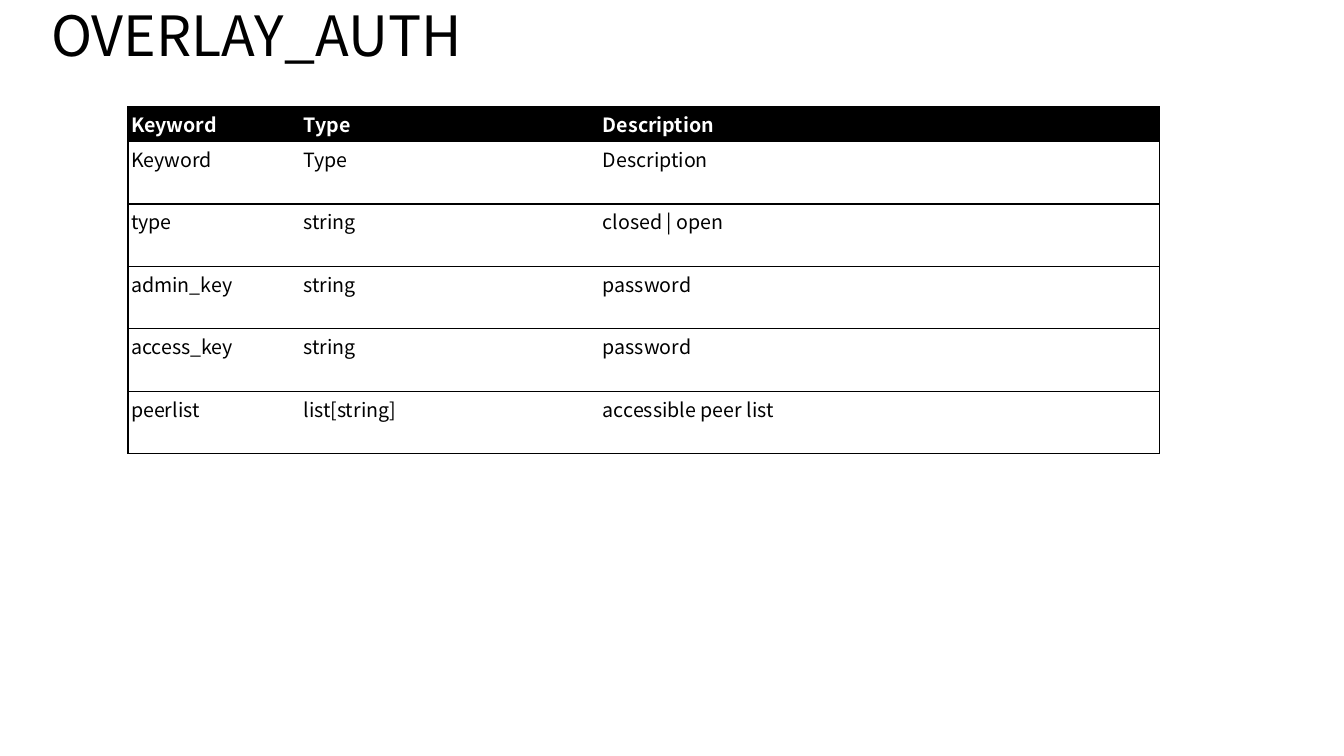
from lxml.etree import SubElement
from pptx import Presentation
from pptx.dml.color import RGBColor
from pptx.enum.text import MSO_ANCHOR, MSO_AUTO_SIZE, PP_ALIGN
from pptx.oxml.ns import qn
from pptx.util import Inches, Pt

COLORS = {"ink": "000000", "paper": "FFFFFF"}
FONT = "Noto Sans CJK KR"
FORMATS = {
    "title": {"name": FONT, "size": Pt(39.6), "bold": False},
    "header": {"name": FONT, "size": Pt(14), "bold": True},
    "body": {"name": FONT, "size": Pt(14), "bold": False},
}

HEADINGS = ("Keyword", "Type", "Description")
KEYWORDS = [
    HEADINGS,
    ("type", "string", "closed | open"),
    ("admin_key", "string", "password"),
    ("access_key", "string", "password"),
    ("peerlist", "list[string]", "accessible peer list"),
]
COLUMN_WIDTHS = (1.71, 2.97, 5.55)
HEADER_HEIGHT, ROW_HEIGHT = 0.34, 0.62
CELL_MARGIN = Inches(0.03)


def set_attributes(target, values):
    for attribute, value in values.items():
        setattr(target, attribute, value)


def format_text(paragraph, style, color):
    set_attributes(paragraph.font, FORMATS[style])
    paragraph.font.color.rgb = RGBColor.from_string(COLORS[color])


def add_title(slide, text):
    title = slide.shapes.title
    set_attributes(title, {
        "left": Inches(0.41), "top": Inches(0.02),
        "width": Inches(12.47), "height": Inches(0.72),
    })
    set_attributes(title.text_frame, {
        "text": text, "word_wrap": True,
        "auto_size": MSO_AUTO_SIZE.NONE, "vertical_anchor": MSO_ANCHOR.MIDDLE,
    })
    heading = title.text_frame.paragraphs[0]
    set_attributes(heading, {"alignment": PP_ALIGN.LEFT, "line_spacing": 0.9})
    format_text(heading, "title", "ink")


def set_borders(cell, visible_sides):
    properties = cell._tc.get_or_add_tcPr()
    for side in "LRTB":
        border = SubElement(properties, qn(f"a:ln{side}"), w=str(Pt(1)))
        if side in visible_sides:
            fill = SubElement(border, qn("a:solidFill"))
            SubElement(fill, qn("a:srgbClr"), val=COLORS["ink"])
        else:
            SubElement(border, qn("a:noFill"))


def fill_cell(cell, text, style, ink, background, sides):
    set_attributes(cell, {
        "text": text, "vertical_anchor": MSO_ANCHOR.TOP,
        "margin_left": CELL_MARGIN, "margin_right": CELL_MARGIN,
        "margin_top": CELL_MARGIN, "margin_bottom": CELL_MARGIN,
    })
    format_text(cell.text_frame.paragraphs[0], style, ink)
    set_borders(cell, sides)
    cell.fill.solid()
    cell.fill.fore_color.rgb = RGBColor.from_string(COLORS[background])


def add_keyword_table(slide):
    entries = [HEADINGS, *KEYWORDS]
    heights = [HEADER_HEIGHT] + [ROW_HEIGHT] * len(KEYWORDS)
    keywords = slide.shapes.add_table(
        len(entries), len(HEADINGS), Inches(1.27), Inches(1.06),
        Inches(sum(COLUMN_WIDTHS)), Inches(sum(heights))).table
    keywords.horz_banding = False
    for column, width in zip(keywords.columns, COLUMN_WIDTHS):
        column.width = Inches(width)

    # Outer frame and horizontal rules only
    column_sides = ("LTB", "TB", "RTB")
    for row_index, (entry, height) in enumerate(zip(entries, heights)):
        keywords.rows[row_index].height = Inches(height)
        look = ("body", "ink", "paper") if row_index else ("header", "paper", "ink")
        for column_index, (text, sides) in enumerate(zip(entry, column_sides)):
            fill_cell(keywords.cell(row_index, column_index), text, *look, sides)


def main():
    deck = Presentation()
    deck.slide_width, deck.slide_height = Inches(13.33), Inches(7.5)
    slide = deck.slides.add_slide(deck.slide_layouts.get_by_name("Title Only"))
    add_title(slide, "OVERLAY_AUTH")
    add_keyword_table(slide)
    deck.save("out.pptx")


if __name__ == "__main__":
    main()
